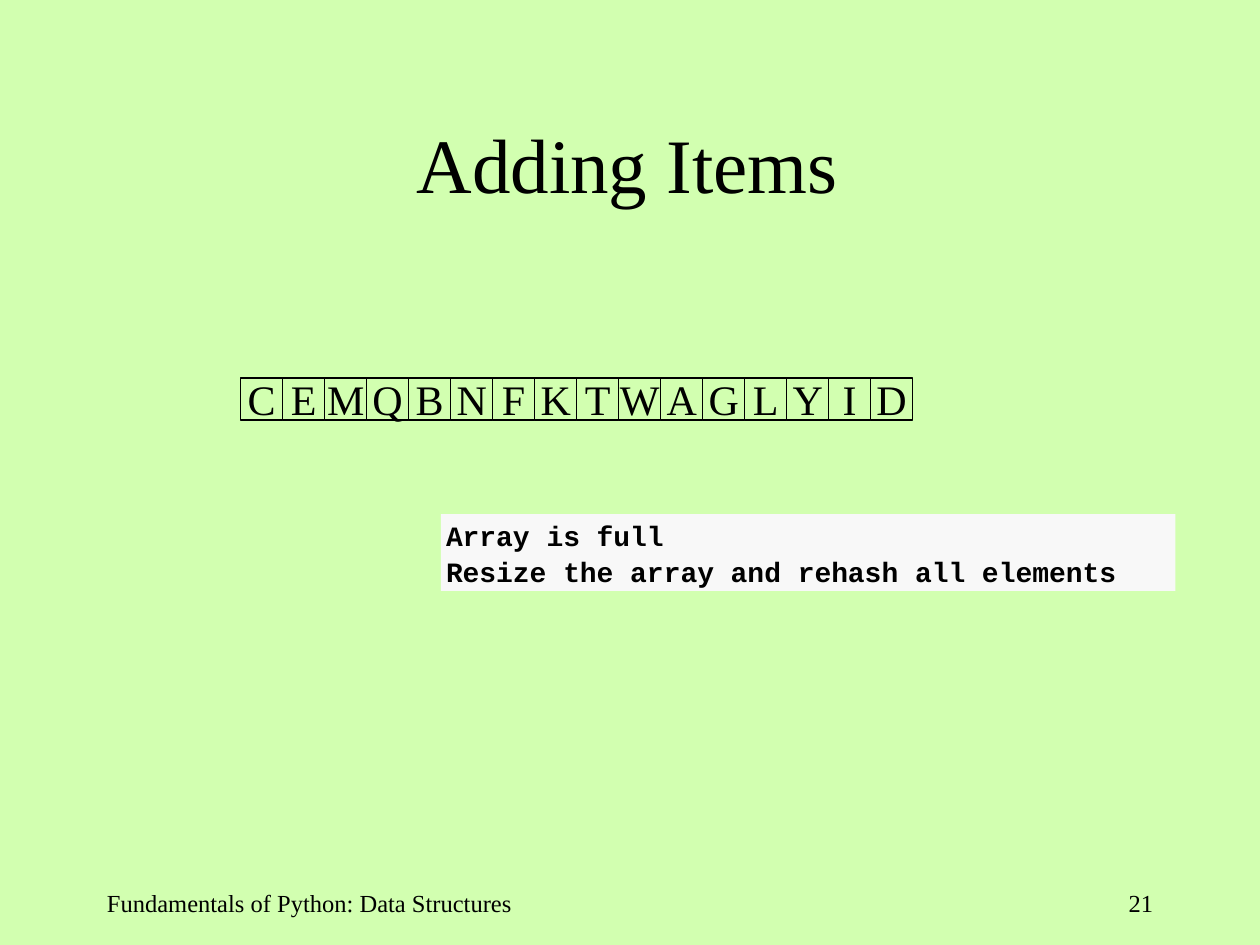
from pptx import Presentation
from pptx.dml.color import RGBColor
from pptx.enum.shapes import MSO_SHAPE
from pptx.enum.text import MSO_ANCHOR, PP_ALIGN
from pptx.util import Inches, Pt

RECT = MSO_SHAPE.RECTANGLE
TOP, MID = MSO_ANCHOR.TOP, MSO_ANCHOR.MIDDLE
LEFT, CENTER, RIGHT = PP_ALIGN.LEFT, PP_ALIGN.CENTER, PP_ALIGN.RIGHT
SERIF, MONO = "Times New Roman", "Courier New"
COLORS = {"page": "D2FFB0", "ink": "000000", "note": "F8F8F8"}

TITLE = "Adding Items"
ITEMS = "CEMQBNFKTWAGLYID"
NOTE = ["Array is full", "Resize the array and rehash all elements"]
FOOTERS = [
    ("Fundamentals of Python: Data Structures", 0.75, 3.75, LEFT),
    ("21", 7.17, 2.08, RIGHT),
]
ROW_LEFT, ROW_TOP, CELL = 1.91, 3, 1 / 3


def color(name):
    return RGBColor.from_string(COLORS[name])


def write(shape, lines, size, align, anchor, insets, font=SERIF, bold=False, wrap=True, space=1):
    frame = shape.text_frame
    frame.word_wrap = wrap
    frame.vertical_anchor = anchor
    (frame.margin_left, frame.margin_top,
     frame.margin_right, frame.margin_bottom) = map(Inches, insets)
    for i, line in enumerate(lines):
        para = frame.add_paragraph() if i else frame.paragraphs[0]
        para.alignment = align
        para.line_spacing = space
        run = para.add_run()
        run.text = line
        run.font.name = font
        run.font.size = Pt(size)
        run.font.bold = bold
        run.font.color.rgb = color("ink")


def add_box(slide, *place):
    box = slide.shapes.add_shape(RECT, *map(Inches, place))
    box.shadow.inherit = False
    return box


def main():
    deck = Presentation()
    deck.slide_width, deck.slide_height = Inches(10), Inches(7.5)
    slide = deck.slides.add_slide(deck.slide_layouts[5])
    slide.background.fill.solid()
    slide.background.fill.fore_color.rgb = color("page")

    title = slide.shapes.title
    title.left, title.top, title.width, title.height = map(Inches, (0.75, 0.67, 8.5, 1.25))
    write(title, [TITLE], 44, CENTER, MID, (0.1, 0.05, 0.14, 0.05))

    for i, item in enumerate(ITEMS):
        cell = add_box(slide, ROW_LEFT + i * CELL, ROW_TOP, CELL, CELL)
        cell.fill.background()
        cell.line.color.rgb = color("ink")
        cell.line.width = Pt(0.75)
        write(cell, [item], 24, CENTER, MID, (0, 0, 0, 0), wrap=False)

    note = add_box(slide, 3.5, 4.08, 5.83, 0.61)
    note.fill.solid()
    note.fill.fore_color.rgb = color("note")
    note.line.fill.background()
    write(note, NOTE, 16, LEFT, TOP, (0.04, 0.02, 0.04, 0), MONO, True, space=1.07)

    for text, left, width, align in FOOTERS:
        foot = slide.shapes.add_textbox(*map(Inches, (left, 7, width, 0.5)))
        write(foot, [text], 14, align, TOP, (0.1, 0.05, 0.1, 0.05))

    deck.save("out.pptx")


if __name__ == "__main__":
    main()
